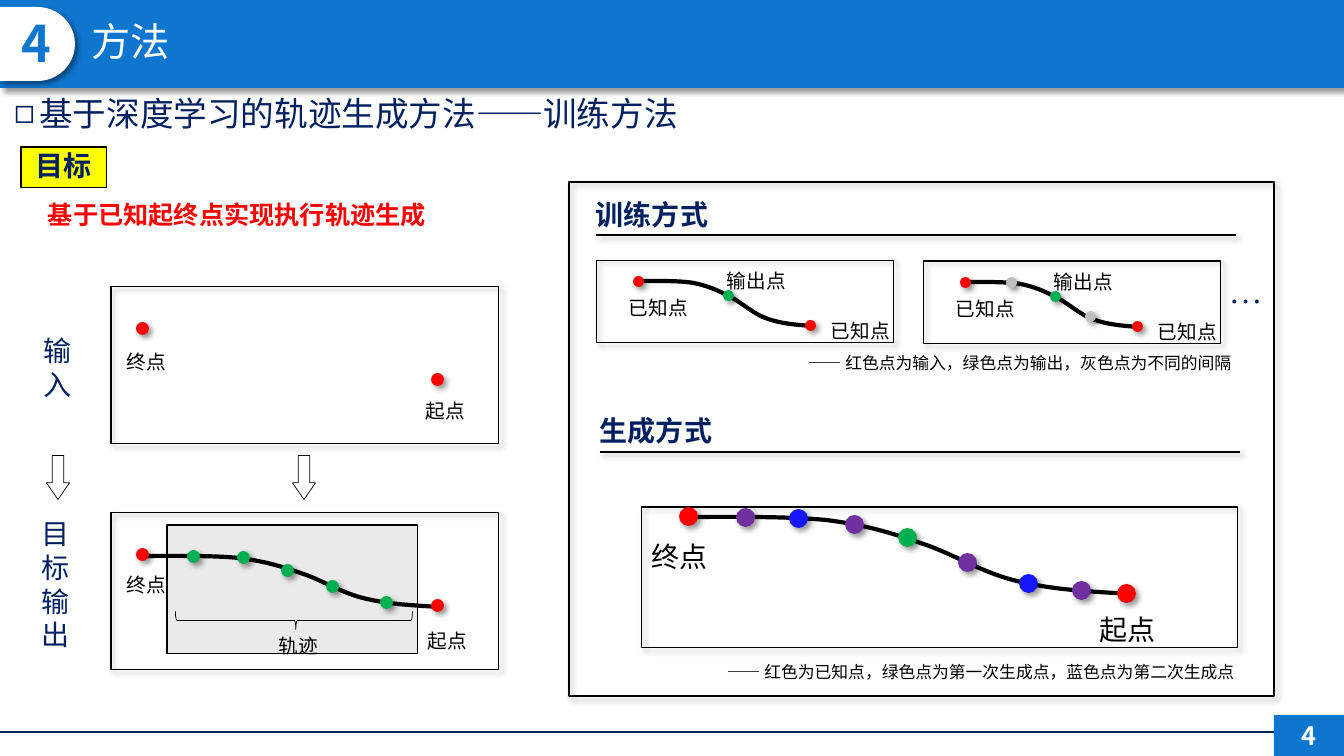
import pptx
import pptx.util
import pptx.dml.color
import pptx.enum.shapes
import pptx.enum.text
import pptx.oxml.ns
import lxml.etree

RGB = pptx.dml.color.RGBColor
SHAPE = pptx.enum.shapes.MSO_SHAPE
ALIGN = pptx.enum.text.PP_ALIGN
ANCHOR = pptx.enum.text.MSO_ANCHOR
qn = pptx.oxml.ns.qn

BLUE = RGB(0x0E, 0x76, 0xCE)
NAVY = RGB(0x00, 0x20, 0x60)
WHITE = RGB(0xFF, 0xFF, 0xFF)
BLACK = RGB(0x00, 0x00, 0x00)
RED = RGB(0xFF, 0x00, 0x00)
GREEN = RGB(0x00, 0xB0, 0x50)
YELLOW = RGB(0xFF, 0xFF, 0x00)
GRAY = RGB(0x80, 0x80, 0x80)
SILVER = RGB(0xBF, 0xBF, 0xBF)
INDIGO = RGB(0x16, 0x16, 0xFF)
PURPLE = RGB(0x70, 0x30, 0xA0)

CJK, LATIN = "Noto Sans CJK SC", "Times New Roman"
STYLES = {
    "number": (36, CJK, True, BLUE),
    "page": (18, CJK, True, WHITE),
    "title": (28, "Arial", False, WHITE),
    "topic": (24, CJK, False, NAVY),
    "badge": (20, CJK, True, NAVY),
    "goal": (18, CJK, True, RED),
    "heading": (20, LATIN, True, NAVY),
    "side": (20, LATIN, False, NAVY),
    "more": (24, LATIN, False, NAVY),
    "label": (14, LATIN, False, BLACK),
    "large": (20, LATIN, False, BLACK),
    "caption": (12, LATIN, False, BLACK),
    "dash": (12, LATIN, True, BLACK),
}

TITLE = ("方法", (81, 18, 872, 53))
TOPIC = ("基于深度学习的轨迹生成方法——训练方法", (4, 96, 900, 44))
NUMBER = ("4", (-7, 12, 87, 66))
PAGE = ("4", (1274, 715, 70, 41))
BADGE = ("目标", (21, 147, 86, 41))
GOAL = ("基于已知起终点实现执行轨迹生成", (38, 198, 519, 40))

TRAINING_PANELS = [(0, 0), (327, 1)]
TRAINING_FRAME = (597, 260, 297, 83)
TRAINING_CURVE = (637, 281, 174, 45)
TRAINING_DOTS = [(633, 276, RED), (805, 320, RED), (723, 290, GREEN)]
TRAINING_LABELS = [("已知点", 619, 291), ("已知点", 821, 314), ("输出点", 717, 264)]

FRAMES = [
    ((111, 287, 388, 157), 0.75),
    ((111, 513, 388, 157), 0.75),
    ((569, 182, 705, 514), 1),
    ((642, 507, 596, 141), 0.75),
]
TRAJECTORY_BOX = (167, 525, 251, 129)
CURVES = [(145, 556, 295, 51), (683, 517, 449, 77)]
CURVE_PERCENT = [(100, 100), (91, 97), (83, 95), (75, 84), (67, 74), (60, 47), (53, 34),
                 (46, 20), (41, 11), (32, 4), (23, -1), (11, 0), (0, 0)]
DOTS = {
    13: [(431, 373, RED), (136, 322, RED), (431, 599, RED), (136, 548, RED),
         (187, 550, GREEN), (237, 551, GREEN), (281, 564, GREEN),
         (326, 580, GREEN), (380, 596, GREEN)],
    11: [(1006, 277, SILVER), (1085, 311, SILVER)],
    19: [(679, 507, RED), (1117, 584, RED), (898, 528, GREEN),
         (789, 509, INDIGO), (1019, 574, INDIGO), (736, 508, PURPLE),
         (845, 515, PURPLE), (958, 553, PURPLE), (1072, 581, PURPLE)],
}
OUTLINES = [
    (SHAPE.LEFT_BRACE, (285, 502, 18, 237), 270, (0.083, 0.508)),
    (SHAPE.RIGHT_ARROW, (282, 466, 44, 23), 90, (0.5, 0.723)),
    (SHAPE.RIGHT_ARROW, (36, 466, 44, 23), 90, (0.5, 0.723)),
]
HEADING_RULES = [(596, 1236, 235), (600, 1240, 452)]
TEXTS = [
    ("输入", (34, 329, 58, 78), "side"),
    ("目标输出", (32, 512, 58, 146), "side"),
    ("终点", (117, 345, 65, 34), "label"),
    ("起点", (416, 394, 65, 34), "label"),
    ("终点", (117, 568, 65, 34), "label"),
    ("起点", (418, 624, 65, 34), "label"),
    ("轨迹", (269, 629, 65, 34), "label"),
    ("…", (1219, 265, 58, 50), "more"),
    ("训练方式", (586, 193, 148, 44), "heading"),
    ("生成方式", (590, 409, 148, 44), "heading"),
    ("终点", (642, 535, 98, 44), "large"),
    ("起点", (1090, 608, 98, 44), "large"),
]
CAPTIONS = [
    ("红色点为输入，绿色点为输出，灰色点为不同的间隔", (798, 348, 451, 30)),
    ("红色为已知点，绿色点为第一次生成点，蓝色点为第二次生成点", (717, 657, 538, 30)),
]


def px(n):
    return round(n * 914400 / 100.8)


def add_effects(sp, shadow):
    pr = sp.element.spPr
    for old in pr.findall(qn("a:effectLst")):
        pr.remove(old)
    effects = lxml.etree.SubElement(pr, qn("a:effectLst"))
    if shadow:
        outer = lxml.etree.SubElement(effects, qn("a:outerShdw"), blurRad="50800", dist="38100",
                                      dir="2700000", algn="tl", rotWithShape="0")
        color = lxml.etree.SubElement(outer, qn("a:prstClr"), val="black")
        lxml.etree.SubElement(color, qn("a:alpha"), val="40000")


def paint(sp, fill=None, line=None, shadow=False):
    if fill is None:
        sp.fill.background()
    else:
        sp.fill.solid()
        sp.fill.fore_color.rgb = fill
    if line is None:
        sp.line.fill.background()
    else:
        sp.line.color.rgb = BLACK
        sp.line.width = pptx.util.Pt(line)
    add_effects(sp, shadow)
    return sp


def add_box(kind, box, **look):
    return paint(s.shapes.add_shape(kind, *map(px, box)), **look)


def add_dot(x, y, size, color):
    add_box(SHAPE.OVAL, (x, y, size, size), fill=color, shadow=True)


def add_curve(x, y, w, h):
    points = [(px(x + w * u / 100), px(y + h * v / 100)) for u, v in CURVE_PERCENT]
    builder = s.shapes.build_freeform(*points[0])
    builder.add_line_segments(points[1:], close=False)
    sp = paint(builder.convert_to_shape(), line=3)
    segments = list(sp.element.iter(qn("a:lnTo")))
    for i in range(0, len(segments), 3):
        bezier = lxml.etree.Element(qn("a:cubicBezTo"))
        segments[i].addprevious(bezier)
        for segment in segments[i:i + 3]:
            bezier.append(segment[0])
            segment.getparent().remove(segment)


def add_rule(x1, x2, y, color, shadow):
    c = s.shapes.add_connector(pptx.enum.shapes.MSO_CONNECTOR.STRAIGHT, px(x1), px(y), px(x2), px(y))
    c.line.color.rgb = color
    c.line.width = pptx.util.Pt(1)
    add_effects(c, shadow)


def write(sp, runs, align=ALIGN.LEFT, anchor=ANCHOR.TOP, spacing=1.0):
    tf = sp.text_frame
    frame = {"word_wrap": True, "auto_size": pptx.enum.text.MSO_AUTO_SIZE.NONE, "vertical_anchor": anchor}
    for key, value in frame.items():
        setattr(tf, key, value)
    p = tf.paragraphs[0]
    layout = {"alignment": align, "line_spacing": spacing, "space_before": pptx.util.Pt(0)}
    for key, value in layout.items():
        setattr(p, key, value)
    for text, style in runs:
        size, name, bold, color = STYLES[style]
        r = p.add_run()
        r.text = text
        for key, value in {"size": pptx.util.Pt(size), "name": name, "bold": bold}.items():
            setattr(r.font, key, value)
        r.font.color.rgb = color
        lxml.etree.SubElement(r._r.get_or_add_rPr(), qn("a:ea"), typeface=CJK)
    return p


def add_text(runs, box, **layout):
    write(s.shapes.add_textbox(*map(px, box)), runs, **layout)


def place(sp, box):
    for key, value in zip(("left", "top", "width", "height"), box):
        setattr(sp, key, px(value))


prs = pptx.Presentation()
prs.slide_width, prs.slide_height = px(1344), px(756)
s = prs.slides.add_slide(prs.slide_layouts[1])
title, body = s.placeholders

add_box(SHAPE.RECTANGLE, (0, 0, 1344, 88), fill=BLUE, shadow=True)
add_box(SHAPE.FLOWCHART_DELAY, (0, 7, 75, 74), fill=WHITE, shadow=True)
add_rule(1291, 0, 732, NAVY, False)
page = add_box(SHAPE.RECTANGLE, PAGE[1], fill=BLUE)
write(page, [(PAGE[0], "page")], align=ALIGN.CENTER, anchor=ANCHOR.MIDDLE)
add_text([(NUMBER[0], "number")], NUMBER[1], align=ALIGN.CENTER, anchor=ANCHOR.BOTTOM, spacing=0.9)

place(title, TITLE[1])
write(title, [(TITLE[0], "title")], spacing=0.9)
title.element.getparent().append(title.element)
place(body, TOPIC[1])
p = write(body, [(TOPIC[0], "topic")], spacing=0.8)
pPr = p._p.get_or_add_pPr()
pPr.set("marL", "228600")
pPr.set("indent", "-228600")
lxml.etree.SubElement(pPr, qn("a:buChar"), char="◻")

badge = add_box(SHAPE.RECTANGLE, BADGE[1], fill=YELLOW, line=0.75)
write(badge, [(BADGE[0], "badge")], align=ALIGN.CENTER, spacing=0.9)
add_text([(GOAL[0], "goal")], GOAL[1], spacing=0.9)

for box, width in FRAMES:
    add_box(SHAPE.RECTANGLE, box, line=width, shadow=True)
band = add_box(SHAPE.RECTANGLE, TRAJECTORY_BOX, fill=GRAY, line=0.75)
band_color = band.element.spPr.find(qn("a:solidFill")).find(qn("a:srgbClr"))
lxml.etree.SubElement(band_color, qn("a:alpha"), val="16000")
for box in CURVES:
    add_curve(*box)

for dx, dy in TRAINING_PANELS:
    x, y, w, h = TRAINING_FRAME
    add_box(SHAPE.RECTANGLE, (x + dx, y + dy, w, h), line=0.75, shadow=True)
    x, y, w, h = TRAINING_CURVE
    add_curve(x + dx, y + dy, w, h)
    for x, y, color in TRAINING_DOTS:
        add_dot(x + dx, y + dy, 11, color)
    for text, x, y in TRAINING_LABELS:
        add_text([(text, "label")], (x + dx, y + dy, 90, 34))

for size, dots in DOTS.items():
    for x, y, color in dots:
        add_dot(x, y, size, color)
for kind, box, angle, adjustments in OUTLINES:
    sp = add_box(kind, box, line=0.5)
    sp.rotation = angle
    for i, value in enumerate(adjustments):
        sp.adjustments[i] = value
for x1, x2, y in HEADING_RULES:
    add_rule(x1, x2, y, BLACK, True)
for text, box, style in TEXTS:
    add_text([(text, style)], box)
for text, box in CAPTIONS:
    add_text([("—— ", "dash"), (text, "caption")], box)

prs.save("out.pptx")
